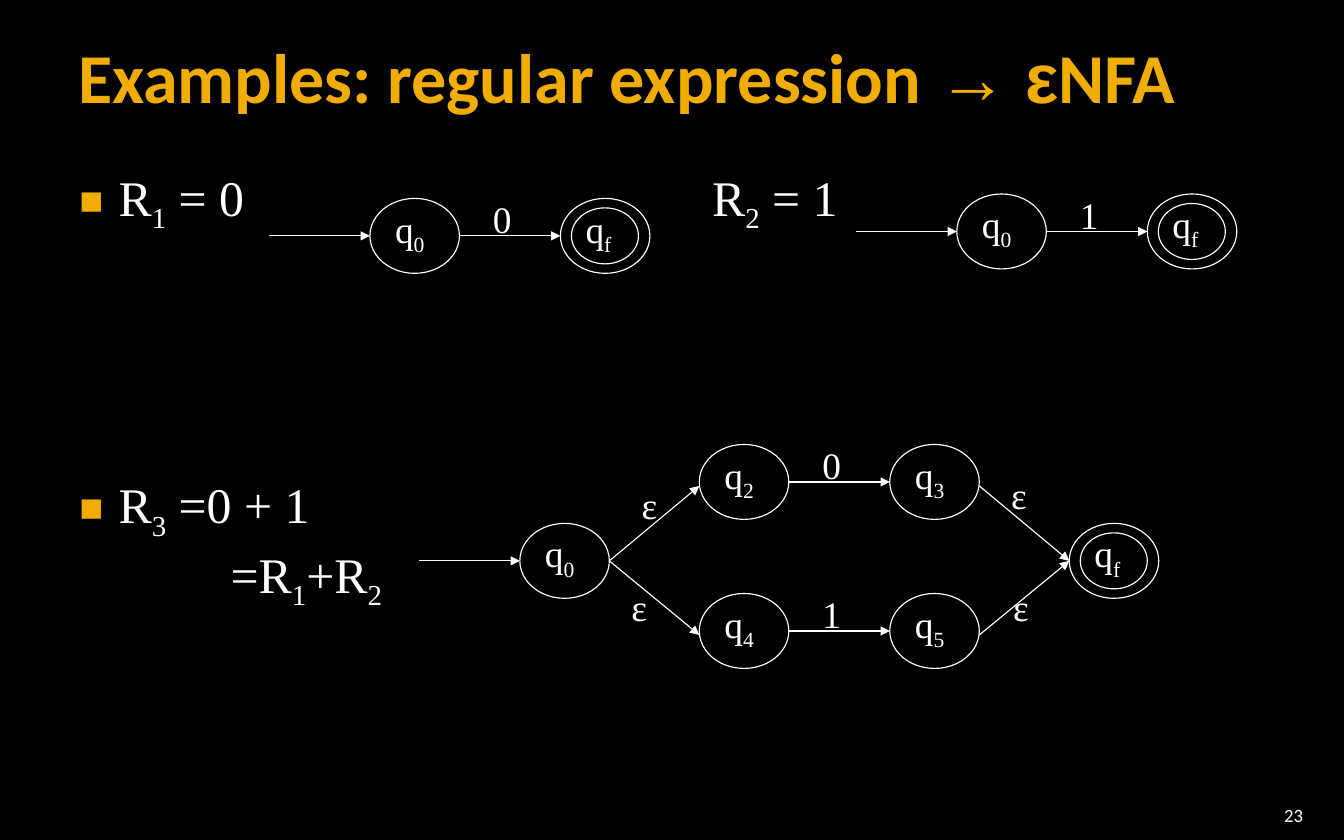
import lxml.etree
import pptx
import pptx.dml.color
import pptx.enum.shapes
import pptx.enum.text
import pptx.oxml.ns
import pptx.util
from pptx.util import Cm

BLACK = pptx.dml.color.RGBColor(0x00, 0x00, 0x00)
WHITE = pptx.dml.color.RGBColor(0xFF, 0xFF, 0xFF)
GOLD = pptx.dml.color.RGBColor(0xF0, 0xAD, 0x00)
SERIF = "Times New Roman"

STATE_WIDTH = 2.03
STATE_HEIGHT = 1.7
ARROW_LENGTH = 2.29
STATE_PITCH = STATE_WIDTH + ARROW_LENGTH


def add_xml(parent, tag, **attributes):
    return lxml.etree.SubElement(parent, pptx.oxml.ns.qn(tag), attributes)


def format_run(run, size, font, color, bold=False):
    run.font.size = pptx.util.Pt(size)
    run.font.name = font
    run.font.color.rgb = color
    run.font.bold = bold


def add_subscripted_text(paragraph, text, size):
    for index, part in enumerate(text.split("_")):
        if part:
            run = paragraph.add_run()
            run.text = part
            format_run(run, size, SERIF, WHITE)
            if index % 2:
                run._r.get_or_add_rPr().set("baseline", "-25000")


def add_text_box(shapes, left, top, width, height):
    box = shapes.add_textbox(Cm(left), Cm(top), Cm(width), Cm(height))
    box.text_frame.word_wrap = True
    return box.text_frame


def add_label(shapes, left, top, text, width=0.9):
    frame = add_text_box(shapes, left, top, width, 1.3)
    frame.margin_right = 0
    add_subscripted_text(frame.paragraphs[0], text, 24)


def add_ellipse(shapes, left, center, width, height):
    ellipse = shapes.add_shape(
        pptx.enum.shapes.MSO_SHAPE.OVAL,
        Cm(left), Cm(center - height / 2), Cm(width), Cm(height))
    ellipse.shadow.inherit = False
    ellipse.fill.background()
    ellipse.line.color.rgb = WHITE
    ellipse.line.width = pptx.util.Pt(0.75)


def add_state(shapes, left, center, name, final=False):
    add_ellipse(shapes, left, center, STATE_WIDTH, STATE_HEIGHT)
    if final:
        add_ellipse(shapes, left + 0.25, center, 1.52, 1.27)
    add_label(shapes, left + 0.32, center - 0.81, f"q_{name}_", 1.4)


def add_arrow(shapes, start_x, start_y, end_x, end_y):
    arrow = shapes.add_connector(
        pptx.enum.shapes.MSO_CONNECTOR.STRAIGHT,
        Cm(start_x), Cm(start_y), Cm(end_x), Cm(end_y))
    arrow.line.color.rgb = WHITE
    arrow.line.width = pptx.util.Pt(0.75)
    add_xml(arrow.line._get_or_add_ln(), "a:tailEnd", type="triangle")
    add_xml(arrow._element.spPr, "a:effectLst")


def add_start_arrow(shapes, state_left, center):
    add_arrow(shapes, state_left - ARROW_LENGTH, center, state_left, center)


def add_transition(shapes, left, center, symbol, source, target, final=False):
    arrow_left = left + STATE_WIDTH
    add_state(shapes, left, center, source)
    add_arrow(shapes, arrow_left, center, left + STATE_PITCH, center)
    add_label(shapes, arrow_left + 0.51, center - 1.02, symbol)
    add_state(shapes, left + STATE_PITCH, center, target, final)


def add_symbol_automaton(slide, left, center, symbol):
    shapes = slide.shapes.add_group_shape().shapes
    add_start_arrow(shapes, left, center)
    add_transition(shapes, left, center, symbol, "0", "f", final=True)


def add_union_automaton(slide):
    shapes = slide.shapes.add_group_shape().shapes
    start_left, branch_left, final_left, center = 11.79, 15.86, 24.25, 12.72
    add_start_arrow(shapes, start_left, center)
    add_state(shapes, start_left, center, "0")
    add_state(shapes, final_left, center, "f", final=True)
    branches = [(10.93, "0", "2", "3"), (14.31, "1", "4", "5")]
    for branch_center, symbol, source, target in branches:
        add_transition(shapes, branch_left, branch_center, symbol, source, target)
        joint = branch_center + 0.09
        add_arrow(shapes, start_left + STATE_WIDTH, center, branch_left, joint)
        add_arrow(shapes, branch_left + STATE_PITCH + STATE_WIDTH, joint,
                  final_left, center)
    for left, top in [(14.3, 10.82), (14.07, 13.13), (22.68, 10.59), (22.73, 13.13)]:
        add_label(shapes, left, top, "ε")


def add_title(slide):
    frame = add_text_box(slide.shapes, 1.52, 0.45, 27.43, 2.54)
    frame.vertical_anchor = pptx.enum.text.MSO_ANCHOR.MIDDLE
    parts = [("Examples: regular expression ", "Calibri"), ("→ ", SERIF),
             ("ε", "Arial"), ("NFA", "Calibri")]
    for text, font in parts:
        run = frame.paragraphs[0].add_run()
        run.text = text
        format_run(run, 45, font, GOLD, bold=True)


def set_indent(paragraph, margin, indent):
    properties = paragraph._p.get_or_add_pPr()
    properties.set("marL", str(Cm(margin)))
    properties.set("indent", str(Cm(indent)))
    return properties


def add_bullet(paragraph):
    properties = set_indent(paragraph, 1.22, -0.89)
    add_xml(add_xml(properties, "a:buClr"), "a:srgbClr", val=str(GOLD))
    add_xml(properties, "a:buSzPct", val="80000")
    add_xml(properties, "a:buFont", typeface="Arial")
    add_xml(properties, "a:buChar", char="■")
    return properties


def add_expressions(slide):
    frame = add_text_box(slide.shapes, 1.32, 3.53, 27.84, 11.51)
    frame.margin_left = Cm(0.15)
    frame.margin_top = Cm(0.25)
    basic = frame.paragraphs[0]
    union = frame.add_paragraph()
    expansion = frame.add_paragraph()

    tabs = add_xml(add_bullet(basic), "a:tabLst")
    add_xml(tabs, "a:tab", pos=str(Cm(14.68)), algn="l")
    add_bullet(union)
    set_indent(expansion, 3.76, 0)
    union.space_before = pptx.util.Pt(154)
    expansion.space_before = pptx.util.Pt(1)

    add_subscripted_text(basic, "R_1_ = 0\tR_2_ = 1", 32)
    add_subscripted_text(union, "R_3_ =0 + 1", 32)
    add_subscripted_text(expansion, "=R_1_+R_2_", 32)


def add_slide_number(slide):
    frame = add_text_box(slide.shapes, 27.36, 17.98, 2.44, 0.76)
    frame.margin_bottom = 0
    frame.vertical_anchor = pptx.enum.text.MSO_ANCHOR.BOTTOM
    frame.text = "23"
    paragraph = frame.paragraphs[0]
    paragraph.alignment = pptx.enum.text.PP_ALIGN.RIGHT
    format_run(paragraph.runs[0], 12, "Calibri", WHITE)


def main():
    presentation = pptx.Presentation()
    presentation.slide_width = Cm(30.48)
    presentation.slide_height = Cm(19.05)
    slide = presentation.slides.add_slide(presentation.slide_layouts[6])
    slide.background.fill.solid()
    slide.background.fill.fore_color.rgb = BLACK

    add_title(slide)
    add_expressions(slide)
    add_symbol_automaton(slide, 8.39, 5.35, "0")
    add_union_automaton(slide)
    add_symbol_automaton(slide, 21.7, 5.25, "1")
    add_slide_number(slide)
    presentation.save("out.pptx")


if __name__ == "__main__":
    main()
